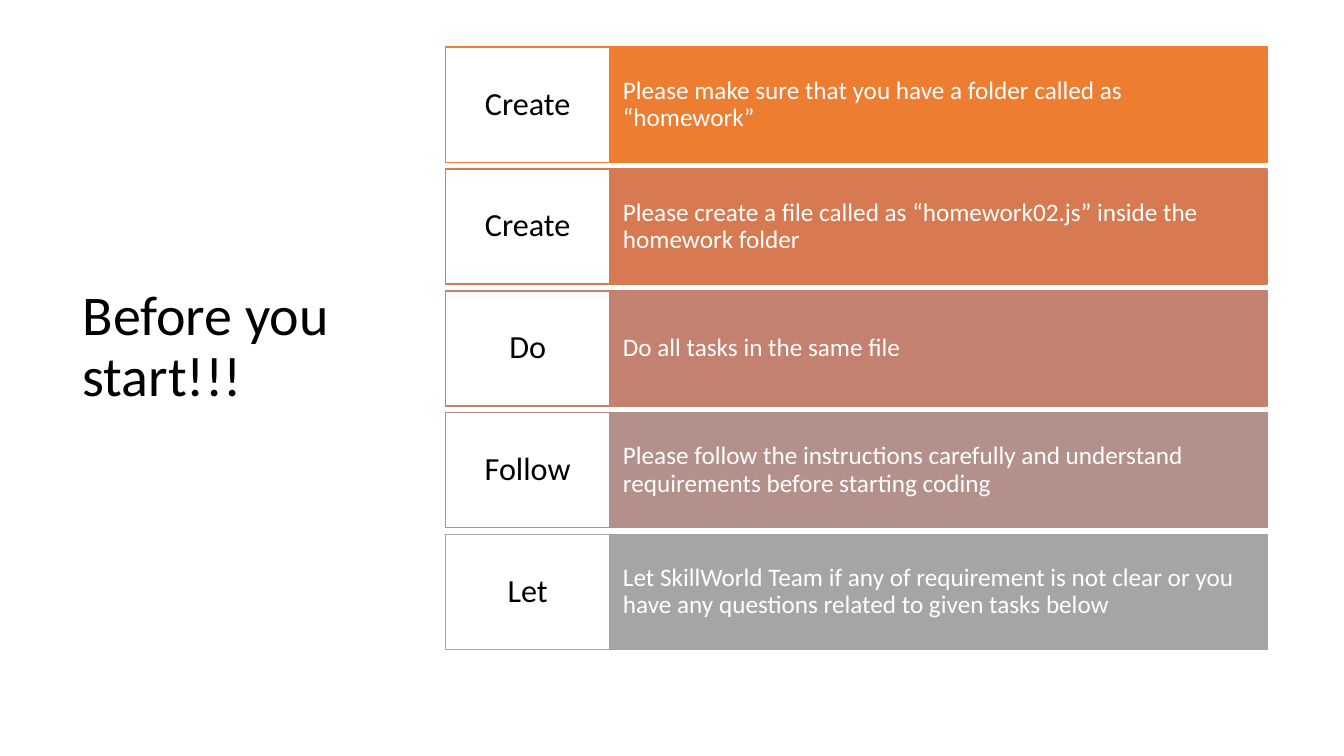
from pptx import Presentation
from pptx.dml.color import RGBColor
from pptx.enum import shapes, text
from pptx.util import Cm, Pt

BLACK = RGBColor(0x00, 0x00, 0x00)
WHITE = RGBColor(0xFF, 0xFF, 0xFF)
ORANGE = RGBColor(0xED, 0x7D, 0x31)
COPPER = RGBColor(0xD8, 0x7A, 0x51)
CLAY = RGBColor(0xC4, 0x81, 0x70)
MAUVE = RGBColor(0xB4, 0x90, 0x8B)
GRAY = RGBColor(0xA5, 0xA5, 0xA5)

FONT = "Calibri"
TOP = 1.19
ROW_HEIGHT = 2.9
ROW_STEP = 3.07
LABEL_LEFT, LABEL_WIDTH = 11.23, 4.14
DETAIL_LEFT, DETAIL_WIDTH = LABEL_LEFT + LABEL_WIDTH, 16.56

STEPS = [
    ("Create", "Please make sure that you have a folder called as “homework”", ORANGE),
    ("Create", "Please create a file called as “homework02.js” inside the homework folder", COPPER),
    ("Do", "Do all tasks in the same file", CLAY),
    ("Follow", "Please follow the instructions carefully and understand "
               "requirements before starting coding", MAUVE),
    ("Let", "Let SkillWorld Team if any of requirement is not clear or you "
            "have any questions related to given tasks below", GRAY),
]


def write_text(shape, wording, size, color, alignment):
    frame = shape.text_frame
    frame.text = wording
    frame.word_wrap = True
    frame.auto_size = text.MSO_AUTO_SIZE.NONE
    frame.vertical_anchor = text.MSO_ANCHOR.MIDDLE
    paragraph = frame.paragraphs[0]
    paragraph.alignment = alignment
    paragraph.line_spacing = 0.9
    paragraph.font.name = FONT
    paragraph.font.size = Pt(size)
    paragraph.font.color.rgb = color


def add_title(slide, wording):
    title = slide.shapes.title
    title.left, title.top = Cm(1.83), Cm(TOP)
    title.width, title.height = Cm(7.87), Cm(15.16)
    write_text(title, wording, 40, BLACK, text.PP_ALIGN.LEFT)


def add_box(slide, left, top, width, fill, line, margins):
    box = slide.shapes.add_shape(
        shapes.MSO_SHAPE.RECTANGLE, Cm(left), Cm(top), Cm(width), Cm(ROW_HEIGHT))
    box.shadow.inherit = False
    box.fill.solid()
    box.fill.fore_color.rgb = fill
    box.line.color.rgb = line
    box.line.width = Pt(1)
    frame = box.text_frame
    frame.margin_left = frame.margin_right = Cm(margins[0])
    frame.margin_top = frame.margin_bottom = Cm(margins[1])
    return box


def add_step(slide, top, label, detail, color):
    detail_box = add_box(slide, DETAIL_LEFT, top, DETAIL_WIDTH, color, color, (0.33, 0.74))
    write_text(detail_box, detail, 18, WHITE, text.PP_ALIGN.LEFT)
    label_box = add_box(slide, LABEL_LEFT, top, LABEL_WIDTH, WHITE, color, (0.23, 0.28))
    write_text(label_box, label, 23, BLACK, text.PP_ALIGN.CENTER)


def main():
    presentation = Presentation()
    presentation.slide_width = Cm(33.87)
    presentation.slide_height = Cm(19.05)
    title_only = presentation.slide_layouts.get_by_name("Title Only")
    slide = presentation.slides.add_slide(title_only)
    add_title(slide, "Before you start!!!")
    for index, (label, detail, color) in enumerate(STEPS):
        add_step(slide, TOP + index * ROW_STEP, label, detail, color)
    presentation.save("out.pptx")


main()
